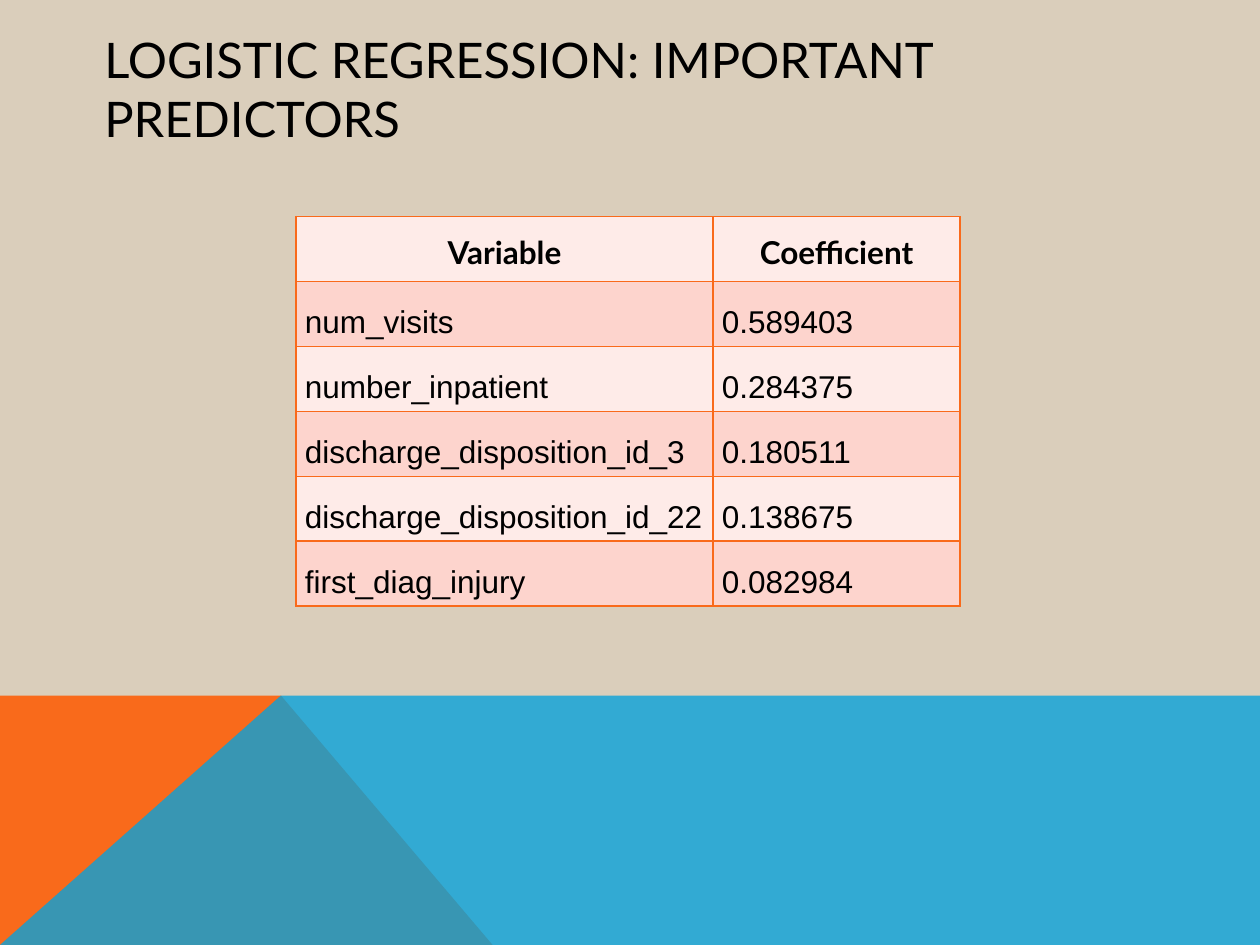
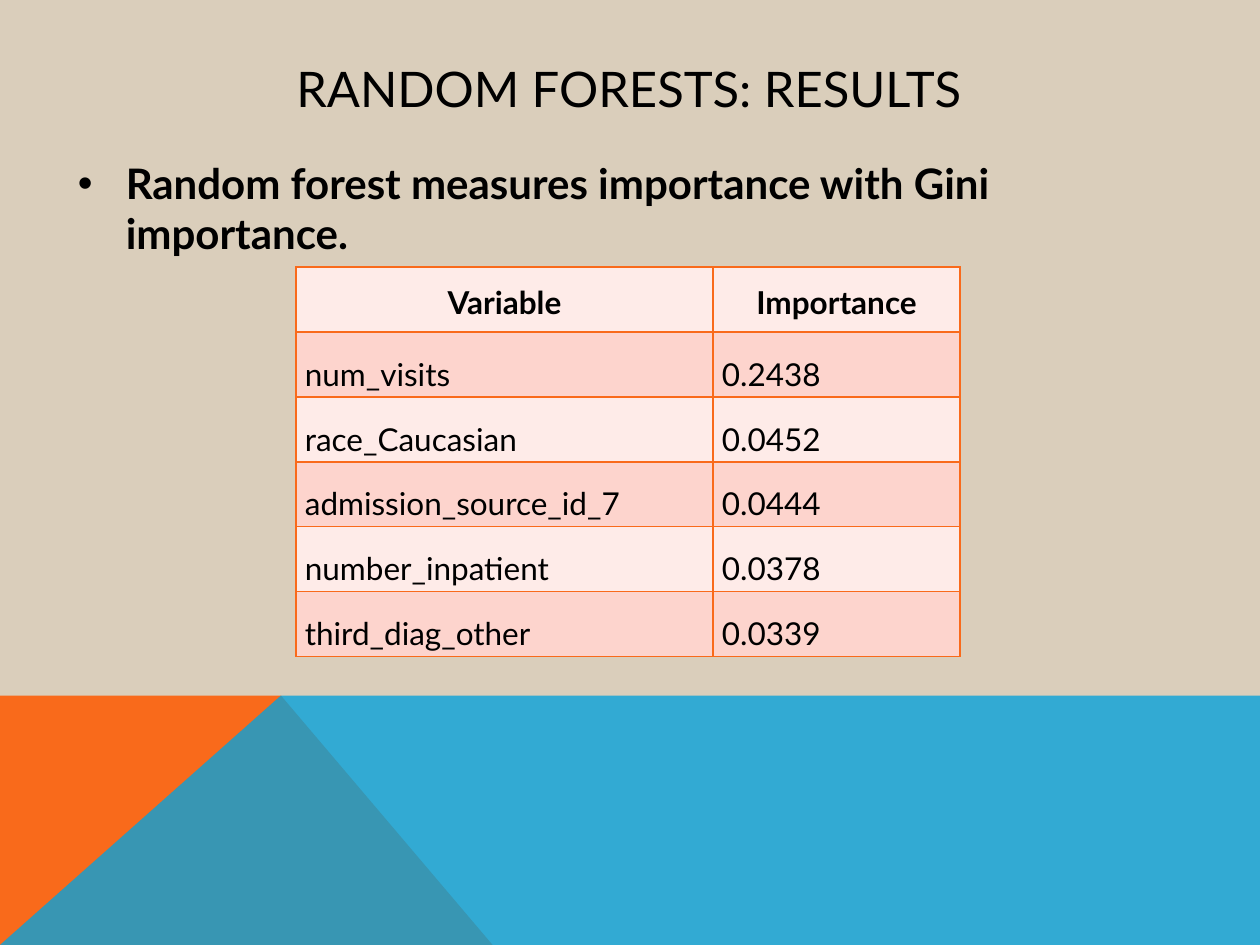
from lxml.etree import SubElement
from pptx import Presentation
from pptx.dml.color import RGBColor
from pptx.enum.text import MSO_ANCHOR, PP_ALIGN
from pptx.oxml.ns import qn
from pptx.util import Inches, Pt

SAND = RGBColor(0xDA, 0xCE, 0xBB)
ORANGE = RGBColor(0xF9, 0x6A, 0x1B)
BLUE = RGBColor(0x08, 0xA1, 0xD9)
BLACK = RGBColor(0, 0, 0)
PALE = RGBColor(0xFE, 0xEB, 0xE8)
PINK = RGBColor(0xFD, 0xD4, 0xCD)
LATO, ARIAL = "Lato", "Arial"

deck = Presentation()
deck.slide_width, deck.slide_height = Inches(10), Inches(7.5)
W, H = deck.slide_width, deck.slide_height

# Bands: corner points as shares of the slide, colour, opacity
TOP, PEAK = 0.736, 0.223
BANDS = [
    ([(0, 1), (0, TOP), (PEAK, TOP), (0.391, 1)], ORANGE, 100),
    ([(0, 1), (PEAK, TOP), (1, TOP), (1, 1)], BLUE, 80),
]

# Table grid
LEFT, COLS, ROW = Inches(2.35), (Inches(3.31), Inches(1.96)), Inches(3.09 / 6)

# Title, its left, width and alignment; bullet; table top, body font and rows
SLIDES = [
    ("LOGISTIC REGRESSION: IMPORTANT PREDICTORS", 0.73, 8.57, PP_ALIGN.LEFT,
     None, 1.72, ARIAL,
     [("Variable", "Coefficient"),
      ("num_visits", "0.589403"),
      ("number_inpatient", "0.284375"),
      ("discharge_disposition_id_3", "0.180511"),
      ("discharge_disposition_id_22", "0.138675"),
      ("first_diag_injury", "0.082984")]),
    ("RANDOM FORESTS: RESULTS", 0.76, 8.46, PP_ALIGN.CENTER,
     "Random forest measures importance with Gini importance.", 2.12, LATO,
     [("Variable", "Importance"),
      ("num_visits", "0.2438"),
      ("race_Caucasian", "0.0452"),
      ("admission_source_id_7", "0.0444"),
      ("number_inpatient", "0.0378"),
      ("third_diag_other", "0.0339")]),
]


def write(frame, text, size, face=LATO, bold=False, align=PP_ALIGN.LEFT):
    frame.word_wrap = True
    para = frame.paragraphs[0]
    para.alignment = align
    run = para.add_run()
    run.text = text
    font = run.font
    font.size, font.name, font.bold = Pt(size), face, bold
    font.color.rgb = BLACK
    return para


def edge(cell):
    props = cell._tc.get_or_add_tcPr()
    for i, side in enumerate(("lnL", "lnR", "lnT", "lnB")):
        line = props.makeelement(qn("a:" + side), {"w": str(Pt(1))})
        fill = SubElement(line, qn("a:solidFill"))
        SubElement(fill, qn("a:srgbClr"), val=str(ORANGE))
        props.insert(i, line)


for title, left, width, align, point, top, face, rows in SLIDES:
    slide = deck.slides.add_slide(deck.slide_layouts[6])
    slide.background.fill.solid()
    slide.background.fill.fore_color.rgb = SAND
    shapes = slide.shapes

    # Bands at the foot
    for spots, tint, solid in BANDS:
        spots = [(int(x * W), int(y * H)) for x, y in spots]
        pen = shapes.build_freeform(*spots[0])
        pen.add_line_segments(spots[1:], close=True)
        band = pen.convert_to_shape()
        band.shadow.inherit = False
        band.line.fill.background()
        band.fill.solid()
        band.fill.fore_color.rgb = tint
        if solid < 100:
            tone = band.fill._xPr.find(".//" + qn("a:srgbClr"))
            SubElement(tone, qn("a:alpha"), val=str(solid * 1000))

    # Title
    box = shapes.add_textbox(Inches(left), Inches(0.4), Inches(width), Inches(0.6))
    box.text_frame.vertical_anchor = MSO_ANCHOR.MIDDLE
    write(box.text_frame, title, 28, align=align)

    # Bullet point
    if point:
        box = shapes.add_textbox(Inches(0.52), Inches(1.2), Inches(9.17), Inches(0.61))
        para = write(box.text_frame, point, 24, bold=True)
        props = para._p.get_or_add_pPr()
        props.set("marL", str(Inches(0.38)))
        props.set("indent", str(-Inches(0.38)))
        SubElement(props, qn("a:buFont"), typeface=ARIAL)
        SubElement(props, qn("a:buChar"), char="•")

    # Table
    table = shapes.add_table(len(rows), len(COLS), LEFT, Inches(top),
                             sum(COLS), ROW * len(rows)).table
    table.horz_banding = False
    for col, wide in zip(table.columns, COLS):
        col.width = wide
    for r, row in enumerate(rows):
        table.rows[r].height = ROW
        head = r == 0
        for c, text in enumerate(row):
            cell = table.cell(r, c)
            cell.margin_left = cell.margin_right = Inches(0.07)
            cell.margin_top = cell.margin_bottom = 0
            cell.vertical_anchor = MSO_ANCHOR.MIDDLE
            cell.fill.solid()
            cell.fill.fore_color.rgb = PINK if r % 2 else PALE
            edge(cell)
            para = write(cell.text_frame, text, 18, LATO if head else face, head,
                         PP_ALIGN.CENTER if head else PP_ALIGN.LEFT)
            para.line_spacing = 1.15 if head else 1.5

deck.save("out.pptx")
